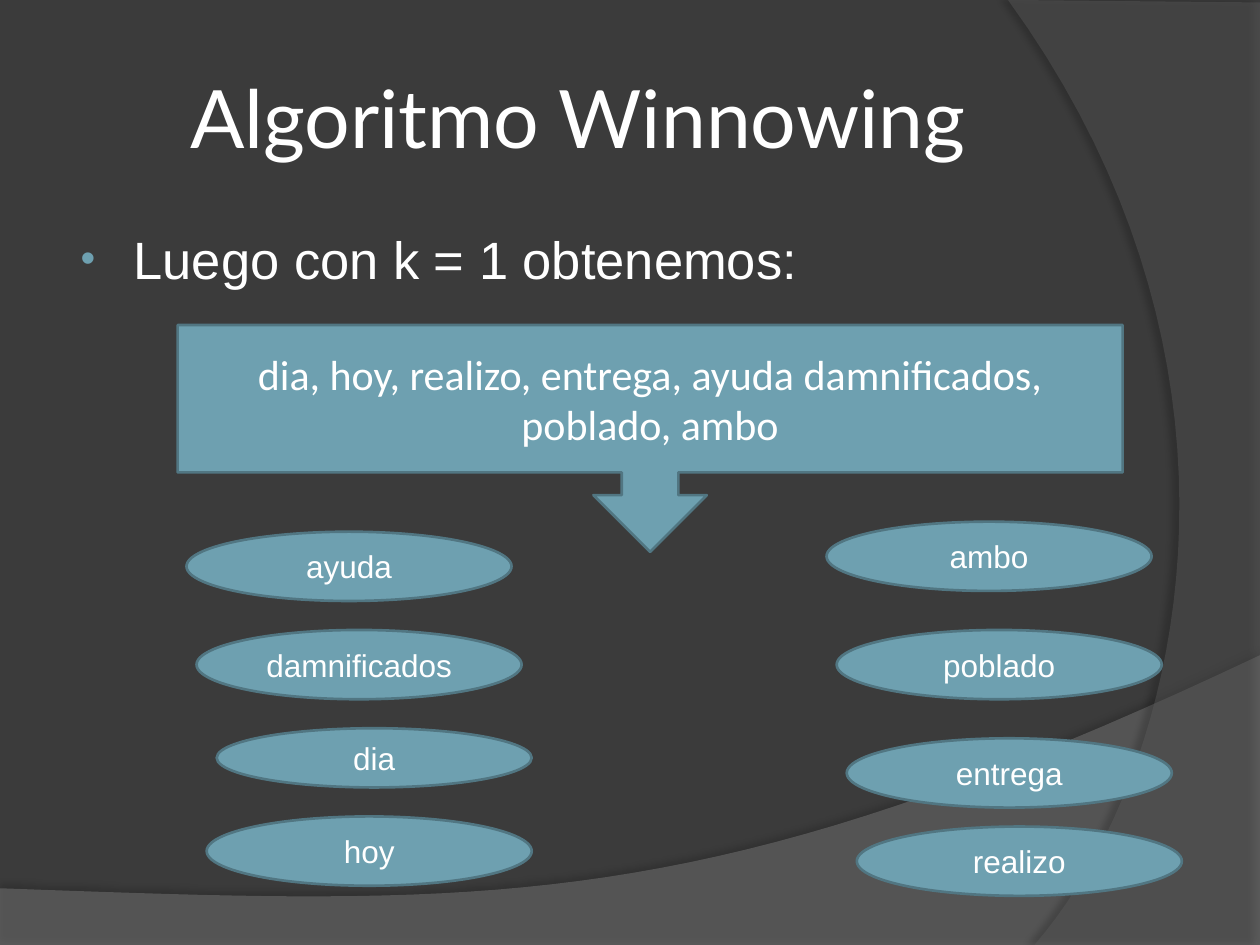
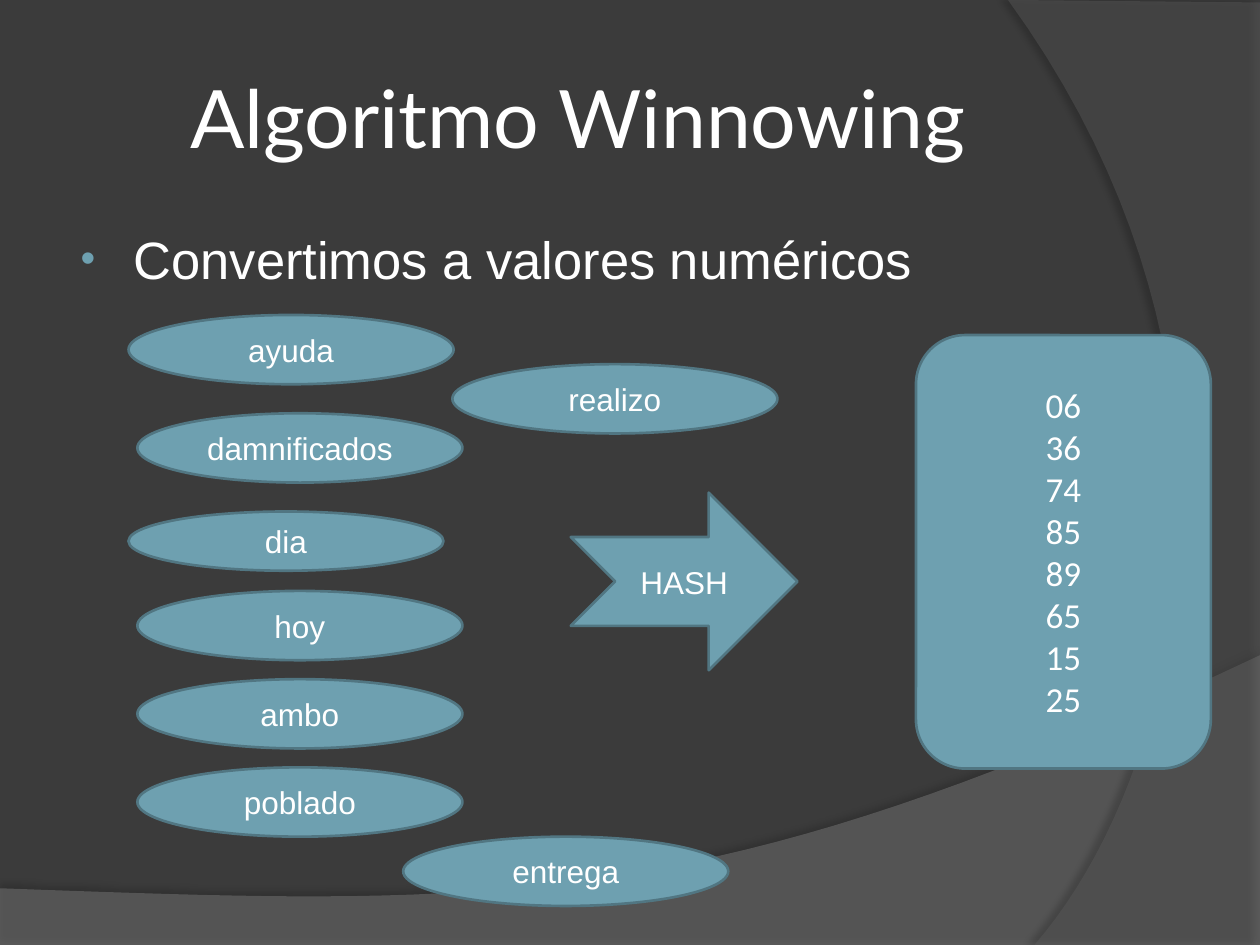
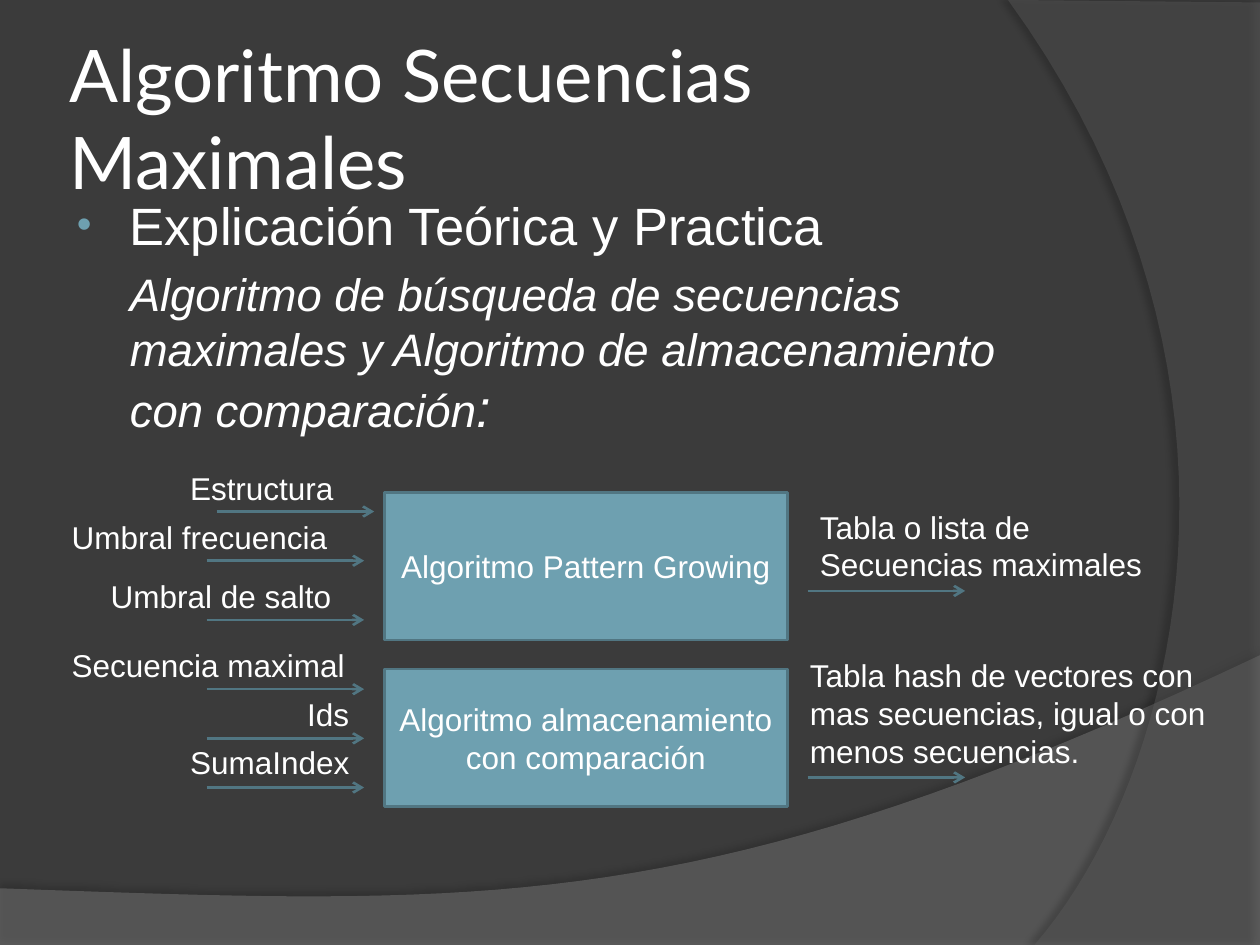
"""Builds three slides about the Winnowing and maximal sequence algorithms."""
from dataclasses import dataclass

from lxml import etree
from pptx import Presentation
from pptx import util as u
from pptx.dml.color import RGBColor
from pptx.enum import shapes, text
from pptx.oxml import ns


@dataclass(frozen=True)
class Theme:
    """Colours, fonts and type sizes of the whole presentation."""
    background: str = "3B3B3B"
    lower_band: str = "7F7F7F"
    right_band: str = "5E5E5E"
    shadow: str = "000000"
    accent: str = "6EA0B0"
    outline: str = "517682"
    text: str = "FFFFFF"
    title_font: str = "Lato"
    body_font: str = "Arial"
    data_font: str = "Calibri"
    title_size: float = 46
    long_title_size: float = 41.4
    body_size: float = 30
    detail_size: float = 26
    callout_size: float = 24
    number_size: float = 20
    label_size: float = 18
    line_width: float = 1.5


THEME = Theme()
SHAPE = shapes.MSO_SHAPE
CENTER = text.PP_ALIGN.CENTER
WORD_SIZE = (2.58, 0.55)
SMALL_WORD_SIZE = (2.5, 0.47)


def rgb(color):
    """Turn a hex string into a colour."""
    return RGBColor.from_string(color)


def add_xml(parent, tag, **attributes):
    """Append a DrawingML child and return it."""
    child = etree.SubElement(parent, ns.qn(tag))
    for name, value in attributes.items():
        child.set(name, str(value))
    return child


def format_font(font, size, name=THEME.body_font):
    """Give a font its size, typeface and the text colour."""
    font.size = u.Pt(size)
    font.name = name
    font.color.rgb = rgb(THEME.text)


def write_lines(frame, lines, size, name=THEME.body_font, align=None):
    """Write one paragraph per line in a single style."""
    frame.word_wrap = True
    frame.text = "\n".join(lines)
    for paragraph in frame.paragraphs:
        paragraph.alignment = align
        format_font(paragraph.font, size, name)


def place(shape, left, top, width, height):
    """Move and size a shape, in inches."""
    shape.left, shape.top = u.Inches(left), u.Inches(top)
    shape.width, shape.height = u.Inches(width), u.Inches(height)


def curve_points(start, control_1, control_2, end, steps=40):
    """Return points along a cubic Bezier curve, without its start."""
    points = []
    for step in range(1, steps + 1):
        t = step / steps
        weights = ((1 - t) ** 3, 3 * t * (1 - t) ** 2, 3 * t ** 2 * (1 - t), t ** 3)
        points.append(tuple(
            sum(weight * value for weight, value in zip(weights, axis))
            for axis in zip(start, control_1, control_2, end)))
    return points


def add_band(slide, points, color, opacity, shadow_opacity, distance, direction):
    """Draw a translucent band with a soft shadow and hand it to the layout."""
    corners = [(u.Inches(x), u.Inches(y)) for x, y in points]
    builder = slide.shapes.build_freeform(*corners[0])
    builder.add_line_segments(corners[1:], close=True)
    band = builder.convert_to_shape()
    band.fill.solid()
    band.fill.fore_color.rgb = rgb(color)
    band.line.fill.background()
    properties = band.element.spPr
    fill_color = properties.find(ns.qn("a:solidFill"))[0]
    add_xml(fill_color, "a:alpha", val=opacity * 1000)
    effects = add_xml(properties, "a:effectLst")
    shadow = add_xml(effects, "a:outerShdw", blurRad=u.Pt(4), dist=u.Pt(distance),
                     dir=direction * 60000, algn="ctr", rotWithShape=0)
    shadow_color = add_xml(shadow, "a:srgbClr", val=THEME.shadow)
    add_xml(shadow_color, "a:alpha", val=shadow_opacity * 1000)
    return band


def add_background(layout, slide):
    """Colour the master and put both curved bands on the shared layout."""
    fill = layout.slide_master.background.fill
    fill.solid()
    fill.fore_color.rgb = rgb(THEME.background)
    lower_edge = curve_points((10, 5.2), (5.59, 7.29), (3.91, 7.19), (0, 7.05))
    right_edge = curve_points((8.21, 7.5), (9.35, 6.19), (10.18, 3), (8, 0))
    lower = add_band(slide, [(0, 7.05), (0, 7.51), (10, 7.51), (10, 5.2)] + lower_edge,
                     THEME.lower_band, 45, 35, 3.5, 270)
    right = add_band(slide, [(10, 0.02), (10, 7.5), (8.21, 7.5)] + right_edge,
                     THEME.right_band, 40, 45, 4, 180)
    for index, band in enumerate((lower, right), start=2):
        layout.shapes.element.insert(index, band.element)


def set_title(slide, title, size=THEME.title_size, align=CENTER):
    """Fill and format the title placeholder."""
    shape = slide.shapes.title
    place(shape, 0.5, 0.3, 8.17, 1.25)
    frame = shape.text_frame
    frame.auto_size = text.MSO_AUTO_SIZE.NONE
    frame.vertical_anchor = text.MSO_ANCHOR.MIDDLE
    frame.margin_left = frame.margin_right = u.Inches(0.05)
    frame.margin_top = frame.margin_bottom = u.Inches(0.05)
    write_lines(frame, [title], size, THEME.title_font, align)


def set_body(slide, heading, left=0.5, top=1.75, height=4.95):
    """Fill the body placeholder with one bulleted line; return its frame."""
    shape = slide.placeholders[1]
    place(shape, left, top, 8.17, height)
    frame = shape.text_frame
    frame.auto_size = text.MSO_AUTO_SIZE.NONE
    frame.text = heading
    paragraph = frame.paragraphs[0]
    properties = paragraph._p.get_or_add_pPr()
    properties.set("marL", str(u.Inches(0.46)))
    properties.set("indent", str(u.Inches(-0.42)))
    add_xml(add_xml(properties, "a:buClr"), "a:srgbClr", val=THEME.accent)
    add_xml(properties, "a:buSzPct", val=80000)
    add_xml(properties, "a:buFont", typeface=THEME.body_font)
    add_xml(properties, "a:buChar", char="\u2022")
    format_font(paragraph.font, THEME.body_size)
    return frame


def add_detail(frame, parts):
    """Add an unbulleted italic paragraph made of (text, size) parts."""
    paragraph = frame.add_paragraph()
    properties = paragraph._p.get_or_add_pPr()
    properties.set("marL", str(u.Inches(0.46)))
    properties.set("indent", "0")
    add_xml(properties, "a:buNone")
    for words, size in parts:
        run = paragraph.add_run()
        run.text = words
        run.font.italic = True
        format_font(run.font, size)


def add_block(slide, kind, box, lines, size=THEME.label_size, font=THEME.body_font):
    """Add a filled, outlined shape with centred text."""
    block = slide.shapes.add_shape(kind, *map(u.Inches, box))
    block.shadow.inherit = False
    block.fill.solid()
    block.fill.fore_color.rgb = rgb(THEME.accent)
    block.line.color.rgb = rgb(THEME.outline)
    block.line.width = u.Pt(THEME.line_width)
    block.text_frame.vertical_anchor = text.MSO_ANCHOR.MIDDLE
    write_lines(block.text_frame, lines, size, font, CENTER)


def add_words(slide, words):
    """Add an ellipse for each (word, left, top)."""
    for word, left, top in words:
        size = SMALL_WORD_SIZE if word == "dia" else WORD_SIZE
        add_block(slide, SHAPE.OVAL, (left, top, *size), [word])


def add_label(slide, box, label):
    """Add a plain text box that grows with its text."""
    shape = slide.shapes.add_textbox(*map(u.Inches, box))
    write_lines(shape.text_frame, [label], THEME.label_size)
    shape.text_frame.auto_size = text.MSO_AUTO_SIZE.SHAPE_TO_FIT_TEXT


def add_arrow(slide, left, y, length=1.25):
    """Add a horizontal arrow pointing right."""
    arrow = slide.shapes.add_connector(
        shapes.MSO_CONNECTOR.STRAIGHT,
        u.Inches(left), u.Inches(y), u.Inches(left + length), u.Inches(y))
    arrow.line.color.rgb = rgb(THEME.outline)
    arrow.line.width = u.Pt(THEME.line_width)
    add_xml(arrow.line._get_or_add_ln(), "a:tailEnd", type="arrow")
    add_xml(arrow.element.spPr, "a:effectLst")


def build_tokens(slide):
    """Slide 1: the sentence splits into single words."""
    set_title(slide, "Algoritmo Winnowing")
    set_body(slide, "Luego con k = 1 obtenemos:")
    add_block(slide, SHAPE.DOWN_ARROW_CALLOUT, (1.41, 2.58, 7.5, 1.8),
              ["dia, hoy, realizo, entrega, ayuda damnificados, poblado, ambo"],
              THEME.callout_size, THEME.data_font)
    add_words(slide, [
        ("dia", 1.72, 5.78), ("ayuda", 1.48, 4.22),
        ("damnificados", 1.56, 5), ("hoy", 1.64, 6.48),
        ("entrega", 6.72, 5.86), ("realizo", 6.8, 6.56),
        ("poblado", 6.64, 5), ("ambo", 6.56, 4.14)])


def build_hashes(slide):
    """Slide 2: the words become numbers."""
    set_title(slide, "Algoritmo Winnowing")
    set_body(slide, "Convertimos a valores numéricos")
    add_block(slide, SHAPE.NOTCHED_RIGHT_ARROW, (4.53, 3.91, 1.8, 1.41), ["HASH"])
    add_words(slide, [
        ("dia", 1.02, 4.06), ("ayuda", 1.02, 2.5),
        ("damnificados", 1.09, 3.28), ("hoy", 1.09, 4.69),
        ("entrega", 3.2, 6.64), ("realizo", 3.59, 2.89),
        ("poblado", 1.09, 6.09), ("ambo", 1.09, 5.39)])
    add_block(slide, SHAPE.ROUNDED_RECTANGLE, (7.27, 2.66, 2.34, 3.44),
              ["06", "36", "74", "85", "89", "65", "15", "25"],
              THEME.number_size, THEME.data_font)


def build_sequences(slide):
    """Slide 3: two algorithms with their inputs and outputs."""
    set_title(slide, "Algoritmo Secuencias Maximales", THEME.long_title_size,
              text.PP_ALIGN.LEFT)
    body = set_body(slide, "Explicación Teórica y Practica", 0.47, 1.48, 5.39)
    add_detail(body, [
        ("Algoritmo de búsqueda de secuencias maximales y "
         "Algoritmo de almacenamiento con comparación", THEME.detail_size),
        (":", THEME.body_size)])

    processes = [("Algoritmo Pattern Growing", 3.91, 1.17),
                 ("Algoritmo almacenamiento con comparación", 5.31, 1.09)]
    for name, top, height in processes:
        add_block(slide, SHAPE.FLOWCHART_PROCESS, (3.05, top, 3.2, height), [name])

    # Each flow is a label, its box and the start of its arrow.
    flows = [
        ("Estructura", (1.41, 3.67, 1.72, 0.4), (1.72, 4.06)),
        ("Umbral frecuencia", (0.47, 4.06, 2.42, 0.4), (1.64, 4.45)),
        ("Umbral de salto", (0.78, 4.53, 2.03, 0.4), (1.64, 4.92)),
        ("Secuencia maximal", (0.47, 5.08, 2.42, 0.4), (1.64, 5.47)),
        ("Ids", (2.34, 5.47, 0.86, 0.4), (1.64, 5.86)),
        ("SumaIndex", (1.41, 5.85, 1.48, 0.4), (1.64, 6.25)),
        ("Tabla o lista de Secuencias maximales", (6.41, 3.98, 2.97, 0.71),
         (6.41, 4.69)),
        ("Tabla hash de vectores con mas secuencias, igual o con menos secuencias.",
         (6.33, 5.16, 3.67, 1.01), (6.41, 6.17)),
    ]
    for label, box, arrow_start in flows:
        add_arrow(slide, *arrow_start)
        add_label(slide, box, label)


def main():
    """Build and save the presentation."""
    presentation = Presentation()
    presentation.slide_width = u.Inches(10)
    presentation.slide_height = u.Inches(7.5)
    layout = presentation.slide_layouts[1]
    builders = (build_tokens, build_hashes, build_sequences)
    slides = [presentation.slides.add_slide(layout) for _ in builders]
    add_background(layout, slides[0])
    for build, slide in zip(builders, slides):
        build(slide)
    presentation.save("out.pptx")


main()
